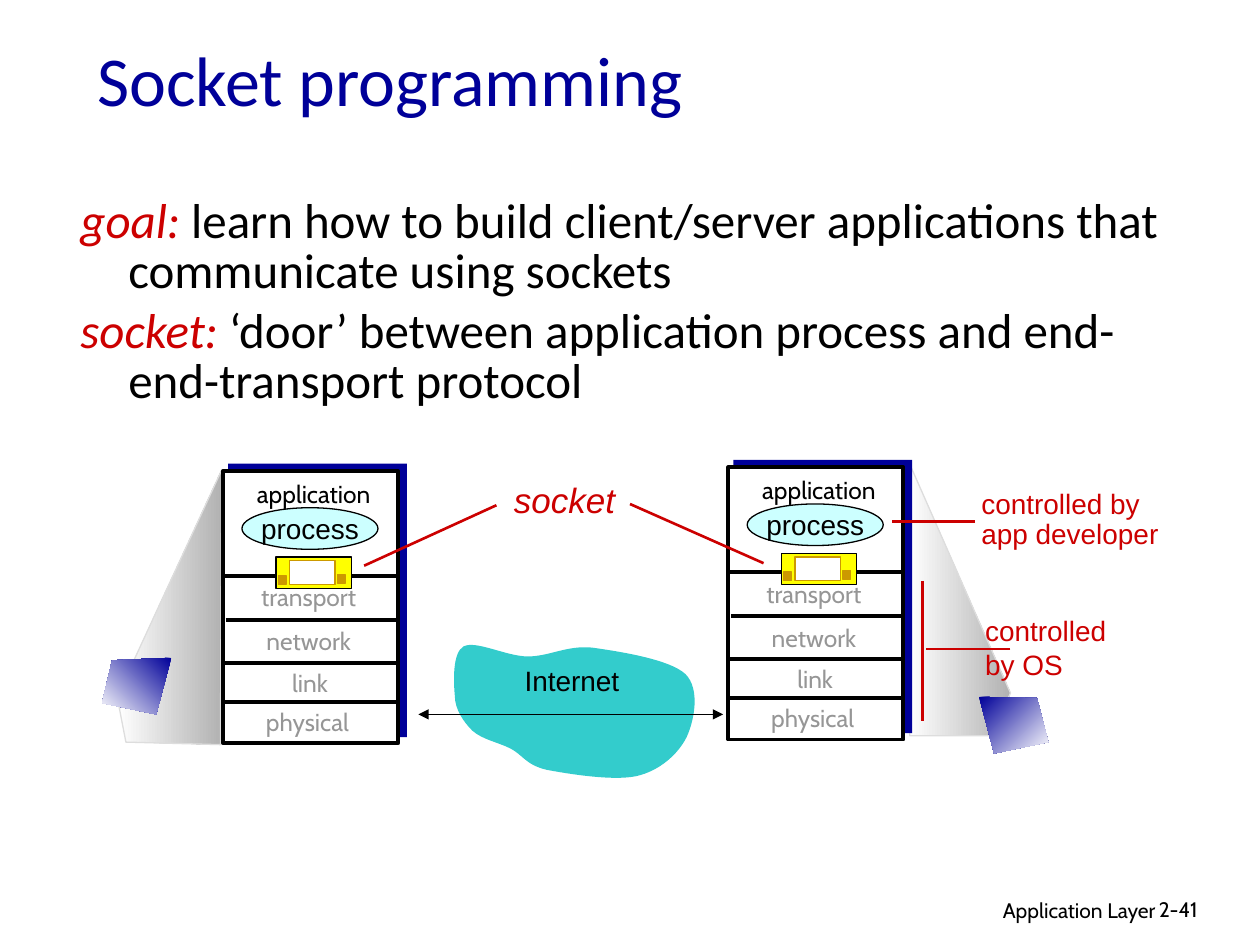
import lxml.etree
import pptx
import pptx.dml.color
import pptx.enum.shapes
import pptx.enum.text
import pptx.oxml.ns
import pptx.util

Inches, Pt = pptx.util.Inches, pptx.util.Pt
SHAPES = pptx.enum.shapes.MSO_SHAPE
ALIGN = pptx.enum.text.PP_ALIGN
ANCHOR = pptx.enum.text.MSO_ANCHOR
FIT = pptx.enum.text.MSO_AUTO_SIZE

COLORS = {
    "navy": "000099", "red": "CC0000", "black": "000000", "white": "FFFFFF",
    "gray": "969696", "silver": "B2B2B2", "edge": "DDDDDD", "teal": "33CCCC",
    "ice": "CCFFFF", "yellow": "FFFF00", "gold": "CC9900",
}
TITLE = "Socket programming"
BODY = [
    [("goal:", "red", True),
     (" learn how to build client/server applications that communicate using sockets", "black", False)],
    [("socket:", "red", True),
     (" ‘door’ between application process and end-end-transport protocol", "black", False)],
]
FOOTERS = [
    ("Application Layer", (6.1, 7.07, 3.17, 0.31), ALIGN.RIGHT),
    ("2-41", (9.1, 7.07, 0.74, 0.3), ALIGN.LEFT),
]
LAYERS = [
    ("application", 1.77, 3.73, "black"),
    ("transport", 1.73, 4.55, "gray"),
    ("network", 1.73, 4.9, "gray"),
    ("link", 1.74, 5.23, "gray"),
    ("physical", 1.72, 5.54, "gray"),
]
SEPARATORS = [(1.78, 4.57), (1.79, 4.92), (1.77, 5.26), (1.77, 5.57)]
SOCKET_PARTS = [
    ((2.19, 4.42, 0.6, 0.25), "yellow", "black"),
    ((2.3, 4.45, 0.36, 0.19), "white", "gold"),
    ((2.68, 4.56, 0.06, 0.07), "gold", "gold"),
    ((2.21, 4.57, 0.06, 0.07), "gold", "gold"),
]
STACK_OFFSETS = [(0, 0), (4.01, -0.03)]
CALLOUTS = [
    (["controlled", "by OS"], (7.72, 4.82, 1.16, 0.9), 16, False, 1),
    (["controlled by", "app developer"], (7.69, 3.84, 1.61, 0.58), 16, False, 0.9),
    (["socket"], (3.98, 3.79, 1.04, 0.4), 20, True, 0.9),
]
CALLOUT_LINES = [
    (7.74, 4.14, 7.08, 4.14), (7.32, 4.61, 7.32, 5.72), (8.02, 5.15, 7.35, 5.15),
    (2.89, 4.49, 3.94, 4.01), (6.06, 4.47, 5, 4),
]
RIGHT_BEAM = [(8.02, 5.5), (7.21, 3.66), (7.22, 5.84), (7.87, 5.84)]
LEFT_BEAM = [(0.93, 5.53), (1.76, 3.73), (1.75, 5.91), (1, 5.89)]
HOSTS = [
    ([(1.36, 5.22), (0.89, 5.24), (0.81, 5.58), (1.24, 5.67)], 135),
    ([(7.77, 5.53), (8.23, 5.54), (8.32, 5.89), (7.89, 5.98)], 45),
]
CLOUD = [
    (3.61, 5.52),
    (3.6, 5.41), (3.59, 5.18), (3.68, 5.13), (3.78, 5.08), (4.02, 5.21), (4.19, 5.21),
    (4.36, 5.21), (4.5, 5.12), (4.7, 5.14), (4.91, 5.17), (5.31, 5.23), (5.44, 5.35),
    (5.56, 5.47), (5.51, 5.72), (5.45, 5.85), (5.38, 5.99), (5.23, 6.12), (5.05, 6.16),
    (4.86, 6.2), (4.5, 6.14), (4.34, 6.11), (4.17, 6.07), (4.15, 5.99), (4.05, 5.94),
    (3.95, 5.89), (3.83, 5.87), (3.75, 5.8), (3.68, 5.73), (3.61, 5.63), (3.61, 5.52),
]

presentation = pptx.Presentation()
presentation.slide_width, presentation.slide_height = Inches(10), Inches(7.5)
slide = presentation.slides.add_slide(presentation.slide_layouts[5])


def rgb(name):
    return pptx.dml.color.RGBColor.from_string(COLORS[name])


def place(shape, box):
    shape.left, shape.top, shape.width, shape.height = map(Inches, box)


def write(shape, paragraphs, size=16, font="Arial", color="black", align=ALIGN.LEFT, italic=False,
          spacing=1, before=0, hanging=0, anchor=ANCHOR.TOP, wrap=True, fit=FIT.NONE):
    frame = shape.text_frame
    frame.word_wrap, frame.auto_size, frame.vertical_anchor = wrap, fit, anchor
    for index, content in enumerate(paragraphs):
        paragraph = frame.add_paragraph() if index else frame.paragraphs[0]
        paragraph.alignment, paragraph.line_spacing = align, spacing
        paragraph.space_before = Pt(before if index else 0)
        if hanging:
            properties = paragraph._p.get_or_add_pPr()
            properties.set("marL", str(Inches(hanging)))
            properties.set("indent", str(-Inches(hanging)))
        runs = [(content, color, italic)] if isinstance(content, str) else content
        for text, run_color, run_italic in runs:
            run = paragraph.add_run()
            run.text = text
            run.font.name, run.font.size, run.font.italic = font, Pt(size), run_italic
            run.font.color.rgb = rgb(run_color)


def add_text(box, paragraphs, **style):
    write(slide.shapes.add_textbox(*map(Inches, box)), paragraphs, **style)


def paint(shape, fill, line=None, width=0.75, angle=0):
    shape.shadow.inherit = False
    if isinstance(fill, tuple):
        shape.fill.gradient()
        shape.fill.gradient_angle = (360 - angle) % 360
        for stop, position, color in zip(shape.fill.gradient_stops, (0, 1), fill):
            stop.position, stop.color.rgb = position, rgb(color)
    else:
        shape.fill.solid()
        shape.fill.fore_color.rgb = rgb(fill)
    if line:
        shape.line.color.rgb, shape.line.width = rgb(line), Pt(width)
    else:
        shape.line.fill.background()


def add_shape(box, fill, line=None, kind=SHAPES.RECTANGLE, width=0.75):
    shape = slide.shapes.add_shape(kind, *map(Inches, box))
    paint(shape, fill, line, width)
    return shape


def add_outline(points, fill, line=None, angle=0):
    corners = [(Inches(x), Inches(y)) for x, y in points]
    builder = slide.shapes.build_freeform(*corners[0])
    builder.add_line_segments(corners[1:], close=True)
    shape = builder.convert_to_shape()
    paint(shape, fill, line, angle=angle)
    return shape


def bend(shape):
    segments = list(shape._element.iter(pptx.oxml.ns.qn("a:lnTo")))
    for start in range(0, len(segments), 3):
        curve = lxml.etree.Element(pptx.oxml.ns.qn("a:cubicBezTo"))
        segments[start].addprevious(curve)
        for segment in segments[start:start + 3]:
            curve.append(segment[0])
            segment.getparent().remove(segment)


def add_line(ends, color, width, arrows=False):
    connector = slide.shapes.add_connector(pptx.enum.shapes.MSO_CONNECTOR.STRAIGHT, *map(Inches, ends))
    connector.line.color.rgb, connector.line.width = rgb(color), Pt(width)
    if arrows:
        outline = connector.line._get_or_add_ln()
        for tag in ("a:headEnd", "a:tailEnd"):
            lxml.etree.SubElement(outline, pptx.oxml.ns.qn(tag), type="triangle")
    lxml.etree.SubElement(connector._element.spPr, pptx.oxml.ns.qn("a:effectLst"))


def add_stack(dx, dy):
    def shift(box):
        return (box[0] + dx, box[1] + dy, *box[2:])

    add_shape(shift((1.81, 3.68, 1.42, 2.17)), "navy")
    add_shape(shift((1.77, 3.74, 1.39, 2.16)), "white", "black", width=2.25)
    for x, y in SEPARATORS:
        add_line((x + dx, y + dy, x + dx + 1.38, y + dy), "black", 2.25)
    for name, x, y, color in LAYERS:
        add_text(shift((x, y, 1.44, 0.36)), [name], size=14, font="Cabin", color=color,
                 align=ALIGN.CENTER, spacing=1.1, fit=FIT.SHAPE_TO_FIT_TEXT)
    process = add_shape(shift((1.92, 4.03, 1.08, 0.33)), "ice", "black", SHAPES.OVAL)
    write(process, ["process"], align=ALIGN.CENTER, anchor=ANCHOR.MIDDLE, wrap=False)
    for box, fill, line in SOCKET_PARTS:
        add_shape(shift(box), fill, line)


for text, box, align in FOOTERS:
    add_text(box, [text], size=12, font="Cabin", align=align)
title = slide.shapes.title
place(title, (0.67, 0, 8.5, 1.25))
write(title, [TITLE], size=40, font="Calibri", color="navy", anchor=ANCHOR.MIDDLE)
add_text((0.54, 1.53, 8.77, 1.68), BODY, size=28, font="Calibri", spacing=0.85, before=5.6, hanging=0.38)

add_outline(RIGHT_BEAM, ("white", "silver"), "edge")
bend(add_outline(CLOUD, "teal"))
add_text((4.06, 5.22, 0.96, 0.37), ["Internet"], align=ALIGN.CENTER, wrap=False, fit=FIT.SHAPE_TO_FIT_TEXT)
add_line((3.32, 5.67, 5.74, 5.67), "black", 0.75, arrows=True)
add_outline(LEFT_BEAM, ("white", "silver"), "edge")
for offset in STACK_OFFSETS:
    add_stack(*offset)
for lines, box, size, italic, spacing in CALLOUTS:
    add_text(box, lines, size=size, color="red", italic=italic, spacing=spacing,
             wrap=False, fit=FIT.SHAPE_TO_FIT_TEXT)
for ends in CALLOUT_LINES:
    add_line(ends, "red", 1.5)
for points, angle in HOSTS:
    add_outline(points, ("navy", "white"), angle=angle)

presentation.save("out.pptx")
